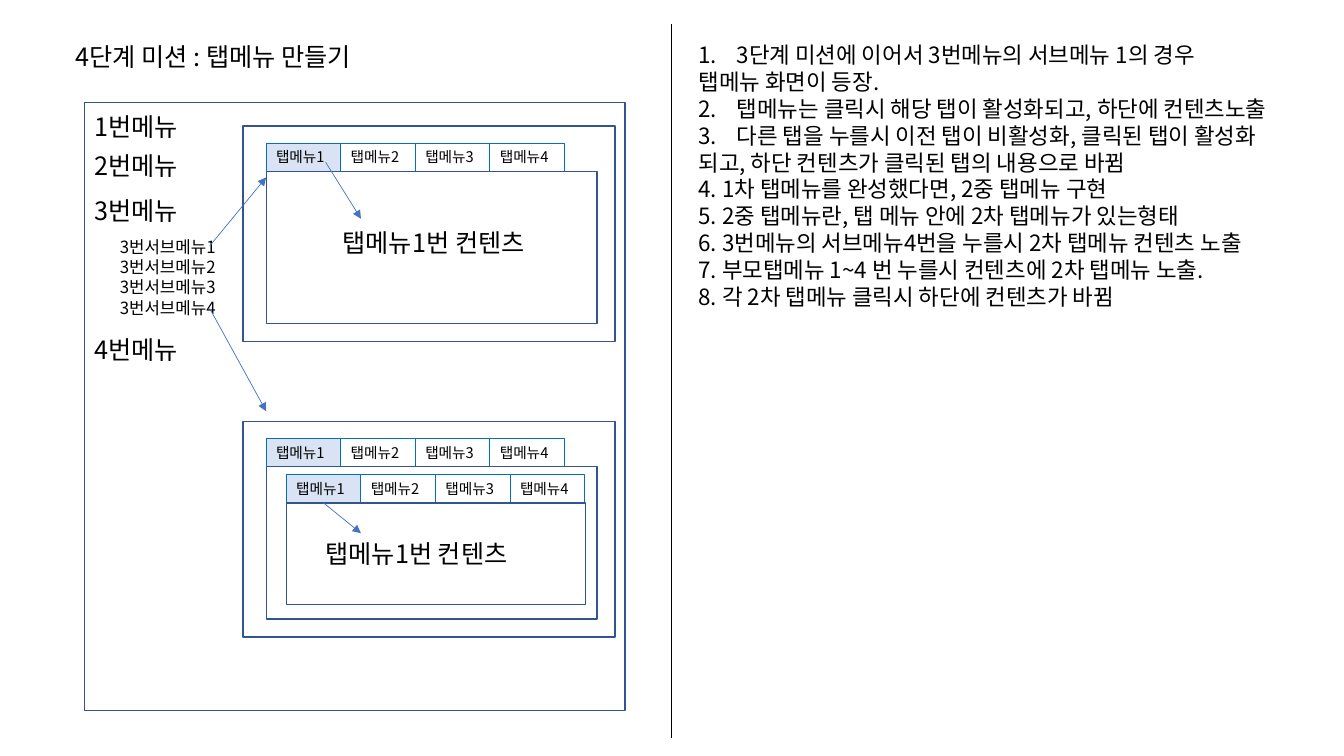
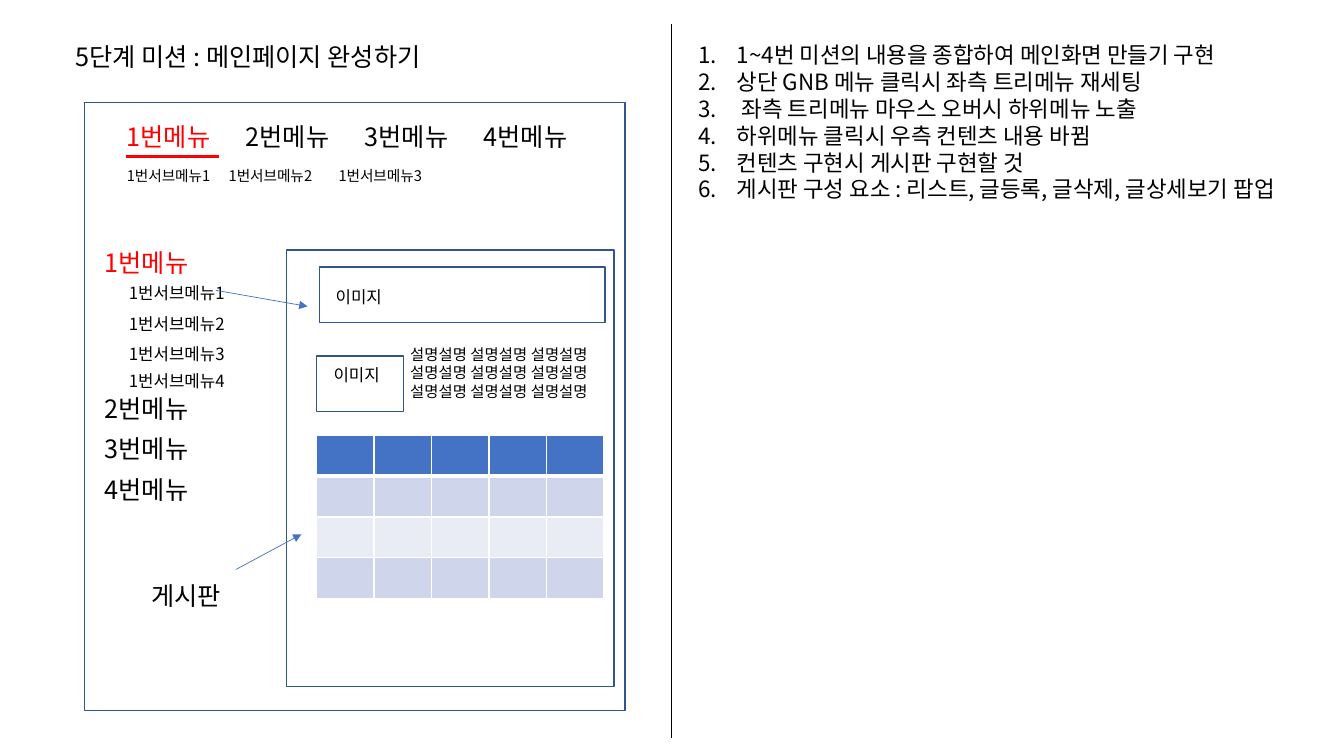
from dataclasses import dataclass
from typing import Optional

from pptx import Presentation
from pptx.dml.color import RGBColor
from pptx.enum.shapes import MSO_CONNECTOR, MSO_SHAPE
from pptx.enum.text import MSO_ANCHOR, MSO_AUTO_SIZE, PP_ALIGN
from pptx.oxml.ns import qn
from pptx.slide import Slide
from pptx.text.text import TextFrame
from pptx.util import Inches, Pt
from lxml.etree import SubElement

FONT = "Noto Sans CJK KR"
COLORS = {
    "text": "000000",
    "active": "FF0000",
    "white": "FFFFFF",
    "frame": "325491",
    "tab_line": "0070C0",
    "tab_active": "DAE3F3",
    "arrow": "4472C4",
    "table_header": "4472C4",
    "table_dark": "CFD5EA",
    "table_light": "E9EBF5",
}
LABEL_FORMAT = {"word_wrap": False, "auto_size": MSO_AUTO_SIZE.SHAPE_TO_FIT_TEXT}
TAB_FORMAT = {"word_wrap": True, "vertical_anchor": MSO_ANCHOR.TOP}
TAB_WIDTH, TAB_HEIGHT = 0.74, 0.28
MENU_WIDTH, SUBMENU_WIDTH = 1.1, 1.23


@dataclass
class Line:
    """One paragraph; a start value makes it a numbered one."""
    text: str
    start: Optional[int] = None


@dataclass
class Label:
    lines: list[Line]
    left: float
    top: float
    width: float
    size: float = 18
    color: str = "text"


@dataclass
class Box:
    left: float
    top: float
    width: float
    height: float
    fill: Optional[str] = None
    line: str = "frame"
    line_width: float = 1


@dataclass
class Segment:
    start: tuple[float, float]
    end: tuple[float, float]
    color: str = "arrow"
    width: float = 0.5
    arrow: bool = True


def rgb(name: str) -> RGBColor:
    return RGBColor.from_string(COLORS[name])


def write_lines(frame: TextFrame, lines: list[Line], size: float, color: str,
                frame_format: dict) -> None:
    for name, value in frame_format.items():
        setattr(frame, name, value)
    for index, line in enumerate(lines):
        paragraph = frame.add_paragraph() if index else frame.paragraphs[0]
        paragraph.alignment = PP_ALIGN.LEFT
        if line.start:
            properties = paragraph._p.get_or_add_pPr()
            properties.set("marL", str(Inches(0.38)))
            properties.set("indent", str(Inches(-0.38)))
            number = SubElement(properties, qn("a:buAutoNum"), type="arabicPeriod")
            if line.start > 1:
                number.set("startAt", str(line.start))
        run = paragraph.add_run()
        run.text = line.text
        for name, value in {"name": FONT, "size": Pt(size)}.items():
            setattr(run.font, name, value)
        run.font.color.rgb = rgb(color)
        SubElement(run._r.get_or_add_rPr(), qn("a:ea"), typeface=FONT)


def add_label(slide: Slide, label: Label) -> None:
    height = len(label.lines) * label.size / 60 + 0.1
    shape = slide.shapes.add_textbox(Inches(label.left), Inches(label.top),
                                     Inches(label.width), Inches(height))
    write_lines(shape.text_frame, label.lines, label.size, label.color, LABEL_FORMAT)


def add_text(slide: Slide, text: str, left: float, top: float, width: float,
             size: float = 18, color: str = "text") -> None:
    lines = [Line(part) for part in text.split("\n")]
    add_label(slide, Label(lines, left, top, width, size, color))


def add_box(slide: Slide, box: Box, text: str = "") -> None:
    shape = slide.shapes.add_shape(MSO_SHAPE.RECTANGLE, Inches(box.left), Inches(box.top),
                                   Inches(box.width), Inches(box.height))
    shape.shadow.inherit = False
    if box.fill:
        shape.fill.solid()
        shape.fill.fore_color.rgb = rgb(box.fill)
    else:
        shape.fill.background()
    shape.line.color.rgb = rgb(box.line)
    shape.line.width = Pt(box.line_width)
    if text:
        write_lines(shape.text_frame, [Line(text)], 10.5, "text", TAB_FORMAT)


def add_segment(slide: Slide, segment: Segment) -> None:
    points = [Inches(value) for value in (*segment.start, *segment.end)]
    connector = slide.shapes.add_connector(MSO_CONNECTOR.STRAIGHT, *points)
    connector.line.color.rgb = rgb(segment.color)
    connector.line.width = Pt(segment.width)
    if segment.arrow:
        SubElement(connector.line._get_or_add_ln(), qn("a:tailEnd"), type="triangle")
    SubElement(connector._element.spPr, qn("a:effectLst"))


def add_tab_panel(slide: Slide, left: float, top: float, width: float, height: float) -> None:
    """Draw four tabs, the first one active, above their content box."""
    for index in range(4):
        tab = Box(left + index * TAB_WIDTH, top, TAB_WIDTH, TAB_HEIGHT,
                  None if index else "tab_active", "tab_line", 0.75)
        add_box(slide, tab, f"탭메뉴{index + 1}")
    add_box(slide, Box(left, top + TAB_HEIGHT, width, height, "white"))


def add_board_table(slide: Slide) -> None:
    row_fills = ["table_header", "table_dark", "table_light", "table_dark"]
    table = slide.shapes.add_table(len(row_fills), 5, Inches(3.14), Inches(4.32),
                                   Inches(2.85), Inches(1.62)).table
    for row_index, fill in enumerate(row_fills):
        for cell in table.rows[row_index].cells:
            cell.margin_top = cell.margin_bottom = 0
            properties = cell._tc.get_or_add_tcPr()
            for side in "LRTB":
                thick = (row_index, side) in ((0, "B"), (1, "T"))
                border = SubElement(properties, qn(f"a:ln{side}"), w=str(Pt(3 if thick else 1)))
                solid = SubElement(border, qn("a:solidFill"))
                SubElement(solid, qn("a:srgbClr"), val=COLORS["white"])
            cell.fill.solid()
            cell.fill.fore_color.rgb = rgb(fill)


def add_mission_slide(presentation: Presentation, title: str, title_width: float,
                      notes: list[Line], notes_width: float) -> Slide:
    """Add a slide with its title, page frame, divider and list of notes."""
    slide = presentation.slides.add_slide(presentation.slide_layouts[6])
    add_text(slide, title, 0.65, 0.36, title_width)
    add_box(slide, Box(0.84, 1.02, 5.36, 6.03))
    add_segment(slide, Segment((6.66, 0.24), (6.66, 7.32), "text", arrow=False))
    add_label(slide, Label(notes, 6.83, 0.36, notes_width, 16))
    return slide


def build_tab_menu_slide(presentation: Presentation) -> None:
    notes = [
        Line("3단계 미션에 이어서 3번메뉴의 서브메뉴 1의 경우", 1),
        Line("탭메뉴 화면이 등장."),
        Line("탭메뉴는 클릭시 해당 탭이 활성화되고, 하단에 컨텐츠노출", 2),
        Line("다른 탭을 누를시 이전 탭이 비활성화, 클릭된 탭이 활성화", 2),
        Line("되고, 하단 컨텐츠가 클릭된 탭의 내용으로 바뀜"),
        Line("4. 1차 탭메뉴를 완성했다면, 2중 탭메뉴 구현"),
        Line("5. 2중 탭메뉴란, 탭 메뉴 안에 2차 탭메뉴가 있는형태"),
        Line("6. 3번메뉴의 서브메뉴4번을 누를시 2차 탭메뉴 컨텐츠 노출"),
        Line("7. 부모탭메뉴 1~4 번 누를시 컨텐츠에 2차 탭메뉴 노출."),
        Line("8. 각 2차 탭메뉴 클릭시 하단에 컨텐츠가 바뀜"),
    ]
    slide = add_mission_slide(presentation, "4단계 미션 : 탭메뉴 만들기", 3.28, notes, 6.49)
    for number, top in enumerate((1.06, 1.44, 1.89, 3.27), 1):
        add_text(slide, f"{number}번메뉴", 0.84, top, MENU_WIDTH)
    submenus = "\n".join(f"3번서브메뉴{number}" for number in range(1, 5))
    add_text(slide, submenus, 1.09, 2.3, SUBMENU_WIDTH, 12)

    for panel_top in (1.25, 4.18):
        add_box(slide, Box(2.41, panel_top, 3.69, 2.14))
        add_tab_panel(slide, 2.64, panel_top + 0.17, 3.28, 1.51)
    add_tab_panel(slide, 2.84, 4.71, 2.97, 1.01)
    for left, top in ((3.3, 2.21), (3.13, 5.29)):
        add_text(slide, "탭메뉴1번 컨텐츠", left, top, 2.2)
    for start, end in (((2.08, 2.44), (2.64, 1.76)), ((3.23, 1.61), (3.58, 2.17)),
                       ((2.08, 3.06), (2.64, 4.08)), ((3.21, 4.99), (3.58, 5.29))):
        add_segment(slide, Segment(start, end))


def build_main_page_slide(presentation: Presentation) -> None:
    notes = [Line(text, 1) for text in (
        "1~4번 미션의 내용을 종합하여 메인화면 만들기 구현",
        "상단 GNB 메뉴 클릭시 좌측 트리메뉴 재세팅",
        " 좌측 트리메뉴 마우스 오버시 하위메뉴 노출",
        "하위메뉴 클릭시 우측 컨텐츠 내용 바뀜",
        "컨텐츠 구현시 게시판 구현할 것",
        "게시판 구성 요소 : 리스트, 글등록, 글삭제, 글상세보기 팝업",
    )]
    slide = add_mission_slide(presentation, "5단계 미션 : 메인페이지 완성하기", 4.04, notes, 6.57)
    for index, tree_top in enumerate((2.4, 3.85, 4.25, 4.66)):
        color = "text" if index else "active"
        menu = f"{index + 1}번메뉴"
        add_text(slide, menu, 1.16 + index * 1.18, 1.15, MENU_WIDTH, color=color)
        add_text(slide, menu, 0.94, tree_top, MENU_WIDTH, color=color)
    add_segment(slide, Segment((1.25, 1.55), (2.17, 1.55), "active", 2.25, False))
    for number, left in enumerate((1.16, 2.17, 3.26), 1):
        add_text(slide, f"1번서브메뉴{number}", left, 1.61, MENU_WIDTH, 10.5)
    for number, top in enumerate((2.76, 3.06, 3.36, 3.63), 1):
        add_text(slide, f"1번서브메뉴{number}", 1.18, top, SUBMENU_WIDTH, 12)

    for box in (Box(2.84, 2.48, 3.25, 4.33), Box(3.17, 2.65, 2.83, 0.55),
                Box(3.14, 3.53, 0.86, 0.55)):
        add_box(slide, box)
    for left, top in ((3.23, 2.8), (3.21, 3.57)):
        add_text(slide, "이미지", left, top, 0.71, 12)
    add_text(slide, "\n".join(["설명설명 설명설명 설명설명"] * 3), 3.97, 3.37, 2.22, 11)
    add_board_table(slide)
    add_text(slide, "게시판", 1.4, 5.71, 0.96)
    for start, end in (((2.14, 2.88), (3.05, 3.04)), ((2.34, 5.65), (2.99, 5.3))):
        add_segment(slide, Segment(start, end))


def main() -> None:
    presentation = Presentation()
    presentation.slide_width = Inches(13.33)
    presentation.slide_height = Inches(7.5)
    build_tab_menu_slide(presentation)
    build_main_page_slide(presentation)
    presentation.save("out.pptx")


if __name__ == "__main__":
    main()
